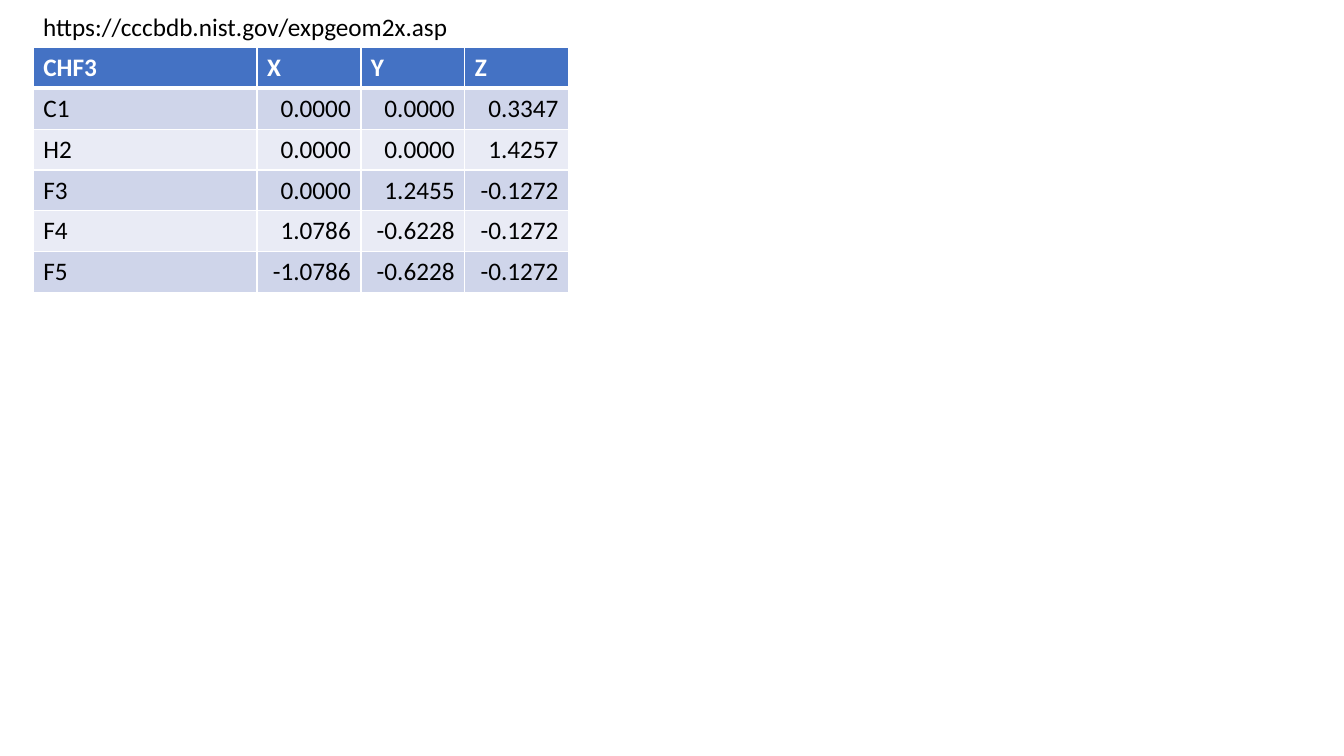
"""Build a slide with the experimental geometry table of CHF3."""
from lxml import etree
from pptx import Presentation, util as u
from pptx.dml.color import RGBColor
from pptx.enum import text
from pptx.oxml.ns import qn

SOURCE = "https://cccbdb.nist.gov/expgeom2x.asp"
HEADER = ("CHF3", "X", "Y", "Z")
ATOMS = [
    ("C1", "0.0000", "0.0000", "0.3347"),
    ("H2", "0.0000", "0.0000", "1.4257"),
    ("F3", "0.0000", "1.2455", "-0.1272"),
    ("F4", "1.0786", "-0.6228", "-0.1272"),
    ("F5", "-1.0786", "-0.6228", "-0.1272"),
]
COLORS = {"header": "4472C4", "odd": "CFD5EA", "even": "E9EBF5",
          "white": "FFFFFF", "black": "000000"}
LEFT, TABLE_TOP = 0.33, 0.47
COLUMN_WIDTHS = (2.22, 1.03, 1.03, 1.03)
ROW_HEIGHT = 0.405


def write(para, words, color, bold=False):
    span = para.add_run()
    span.text = words
    span.font.name = "Calibri"
    span.font.size = u.Pt(18)
    span.font.bold = bold
    span.font.color.rgb = RGBColor.from_string(COLORS[color])


def add_borders(cell, top, bottom):
    properties = cell._tc.get_or_add_tcPr()
    for side, points in (("L", 1), ("R", 1), ("T", top), ("B", bottom)):
        line = etree.SubElement(properties, qn(f"a:ln{side}"), w=str(u.Pt(points)))
        fill = etree.SubElement(line, qn("a:solidFill"))
        etree.SubElement(fill, qn("a:srgbClr"), val=COLORS["white"])


def format_cell(cell, words, row, column):
    is_header = row == 0
    add_borders(cell, 3 if row == 1 else 1, 3 if is_header else 1)
    band = "header" if is_header else "odd" if row % 2 else "even"
    cell.fill.solid()
    cell.fill.fore_color.rgb = RGBColor.from_string(COLORS[band])
    para = cell.text_frame.paragraphs[0]
    if not is_header:
        cell.vertical_anchor = text.MSO_ANCHOR.MIDDLE
        if column:
            para.alignment = text.PP_ALIGN.RIGHT
    write(para, words, "white" if is_header else "black", is_header)


def add_geometry_table(page):
    rows = [HEADER, *ATOMS]
    table = page.shapes.add_table(
        len(rows), len(HEADER), u.Inches(LEFT), u.Inches(TABLE_TOP),
        u.Inches(sum(COLUMN_WIDTHS)), u.Inches(ROW_HEIGHT * len(rows))).table
    for column, width in zip(table.columns, COLUMN_WIDTHS):
        column.width = u.Inches(width)
    for r, values in enumerate(rows):
        table.rows[r].height = u.Inches(ROW_HEIGHT)
        for c, words in enumerate(values):
            format_cell(table.cell(r, c), words, r, c)


def add_source(page):
    box = page.shapes.add_textbox(u.Inches(LEFT), u.Inches(0.06),
                                  u.Inches(4.26), u.Inches(0.4))
    frame = box.text_frame
    frame.word_wrap = False
    frame.auto_size = text.MSO_AUTO_SIZE.SHAPE_TO_FIT_TEXT
    write(frame.paragraphs[0], SOURCE, "black")


def main():
    deck = Presentation()
    deck.slide_width, deck.slide_height = u.Inches(13.33), u.Inches(7.5)
    page = deck.slides.add_slide(deck.slide_layouts.get_by_name("Blank"))
    add_geometry_table(page)
    add_source(page)
    deck.save("out.pptx")


if __name__ == "__main__":
    main()
